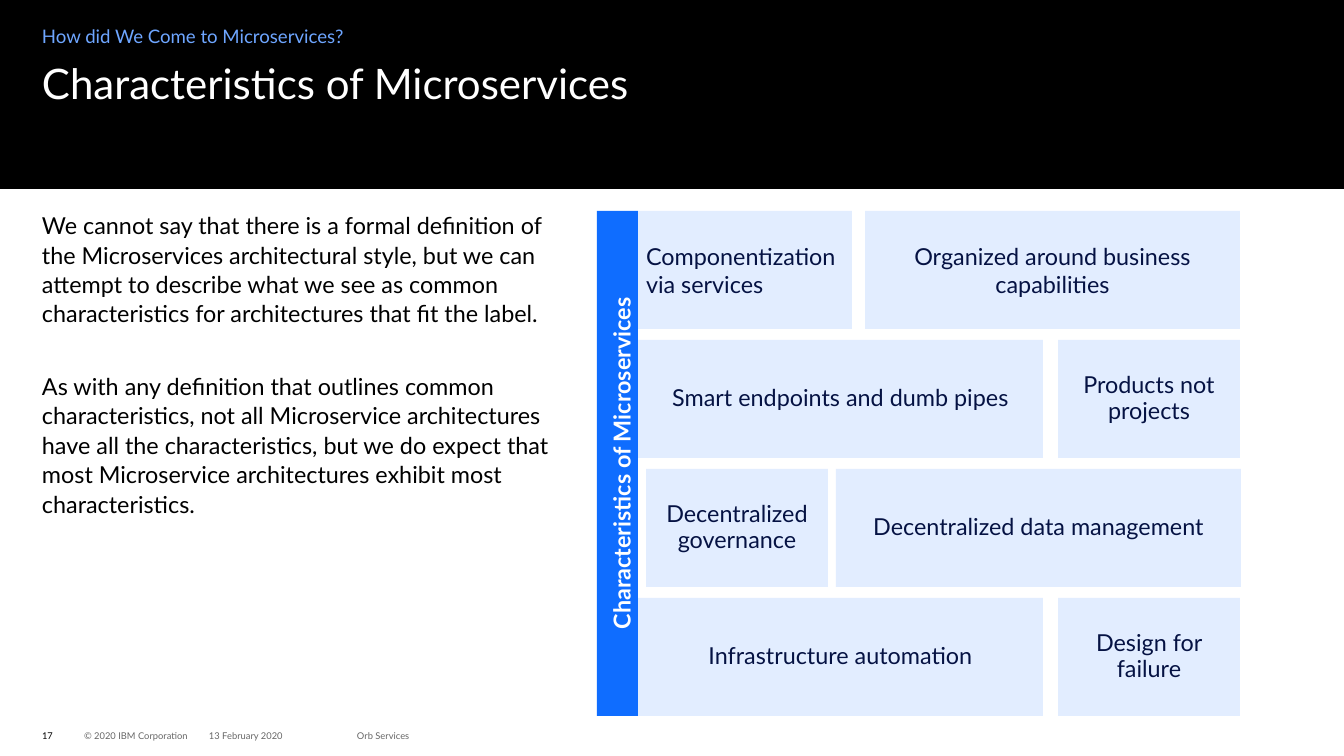
from pptx import Presentation
from pptx.dml.color import RGBColor
from pptx.enum.shapes import MSO_SHAPE
from pptx.enum.text import MSO_ANCHOR, PP_ALIGN
from pptx.util import Emu, Pt

THEME = {
    "font": "Lato",
    "black": "000000", "white": "FFFFFF", "grey": "666666", "sky": "6EA6FF",
    "blue": "0F6DFF", "pale": "E2EDFF", "navy": "051243",
    "title": 36, "body": 20, "tagline": 16, "footer": 8,
}
PX = 914400 / 84


def add_block(left, top, width, height, fill=None):
    """Add a filled rectangle, or a plain text box when there is no fill."""
    box = [Emu(round(length * PX)) for length in (left, top, width, height)]
    if fill is None:
        return slide.shapes.add_textbox(*box)
    shape = slide.shapes.add_shape(MSO_SHAPE.RECTANGLE, *box)
    shape.shadow.inherit = False
    shape.fill.solid()
    shape.fill.fore_color.rgb = RGBColor.from_string(THEME[fill])
    shape.line.fill.background()
    return shape


def write(shape, text, size, color, spacing=1.0, align=PP_ALIGN.LEFT,
          anchor=MSO_ANCHOR.TOP, insets=(0, 0, 0, 0)):
    """Set the text of a shape and format every paragraph and run."""
    frame = shape.text_frame
    frame.text = text
    frame.word_wrap = True
    frame.vertical_anchor = anchor
    (frame.margin_left, frame.margin_top,
     frame.margin_right, frame.margin_bottom) = [Emu(round(inset * PX)) for inset in insets]
    for paragraph in frame.paragraphs:
        paragraph.alignment = align
        paragraph.line_spacing = spacing
        for run in paragraph.runs:
            run.font.name = THEME["font"]
            run.font.size = Pt(THEME[size])
            run.font.color.rgb = RGBColor.from_string(THEME[color])
    return frame


presentation = Presentation()
presentation.slide_width = Emu(round(1344 * PX))
presentation.slide_height = Emu(round(756 * PX))
slide = presentation.slides.add_slide(presentation.slide_layouts[6])

# Header band with tagline and title
add_block(0, 0, 1344, 189, "black")
write(add_block(42, 24, 605, 25), "How did We Come to Microservices?", "tagline", "sky", 1.05)
write(add_block(42, 63, 1260, 105), "Characteristics of Microservices", "title", "white", 0.9)

# Explanation on the left
explanation = write(
    add_block(42, 189, 529, 483),
    "We cannot say that there is a formal definition of the Microservices architectural "
    "style, but we can attempt to describe what we see as common characteristics for "
    "architectures that fit the label.\n"
    "As with any definition that outlines common characteristics, not all Microservice "
    "architectures have all the characteristics, but we do expect that most Microservice "
    "architectures exhibit most characteristics.",
    "body", "black", 1.05, insets=(0, 21, 0, 0))
explanation.paragraphs[1].space_before = Pt(37)

# Characteristics: four rows of two tiles, each as left, width, text
GRID_TOP, TILE_HEIGHT, ROW_PITCH = 211, 118, 129
rows = [
    [(638, 214, "Componentization via services"),
     (865, 375, "Organized around business capabilities")],
    [(638, 405, "Smart endpoints and dumb pipes"), (1058, 182, "Products not projects")],
    [(646, 182, "Decentralized governance"), (836, 405, "Decentralized data management")],
    [(638, 405, "Infrastructure automation"), (1058, 182, "Design for failure")],
]
for row, tiles in enumerate(rows):
    for column, (left, width, text) in enumerate(tiles):
        is_first = row == column == 0
        tile = add_block(left, GRID_TOP + row * ROW_PITCH, width, TILE_HEIGHT, "pale")
        write(tile, text, "body", "navy",
              spacing=1.0 if row == 0 else 0.9,
              align=PP_ALIGN.LEFT if is_first else PP_ALIGN.CENTER,
              anchor=MSO_ANCHOR.MIDDLE,
              insets=(8, 4, 8, 4) if is_first else (4, 4, 4, 4))

# Vertical bar that names the grid
bar = add_block(597, GRID_TOP, 41, 3 * ROW_PITCH + TILE_HEIGHT, "blue")
bar_frame = write(bar, "Characteristics of Microservices", "body", "white", 1.05,
                  PP_ALIGN.CENTER, insets=(9, 8, 0, 8))
bar_frame.paragraphs[0].runs[0].font.bold = True
bar.element.txBody.bodyPr.set("vert", "vert270")

# Footer
for left, width, text, color in [
    (42, 30, "17", "black"),
    (84, 123, "© 2020 IBM Corporation", "grey"),
    (209, 126, "13 February 2020", "grey"),
    (357, 210, "Orb Services", "grey"),
]:
    write(add_block(left, 726, width, 20), text, "footer", color, anchor=MSO_ANCHOR.MIDDLE)

presentation.save("out.pptx")
